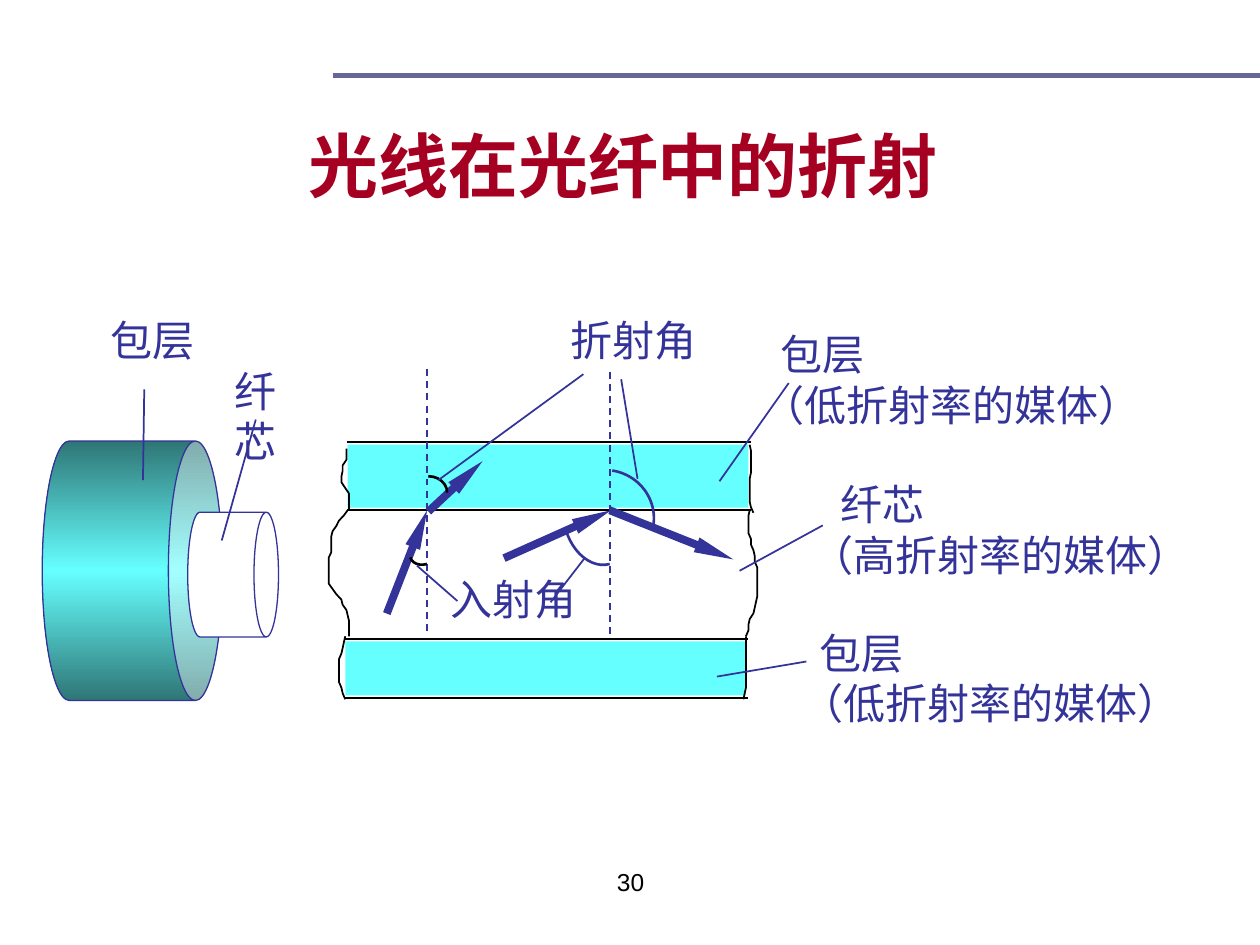
from copy import deepcopy
from pptx import Presentation
from pptx import util as u
from pptx.dml.color import RGBColor
from pptx.enum import dml, shapes, text
from pptx.oxml.ns import qn
from pptx.oxml.xmlchemy import OxmlElement

COLS, ROWS = 100, 75
HUES = {"ink": "333399", "title": "A50021", "rule": "666699",
        "clad": "66FFFF", "shade": "2F7676", "core": "FFFFFF", "edge": "000000"}

deck = Presentation()
deck.slide_width, deck.slide_height = u.Inches(10), u.Inches(7.5)
slide = deck.slides.add_slide(deck.slide_layouts[5])
cell = deck.slide_width / COLS


def hue(name):
    return RGBColor.from_string(HUES[name])


def emu(*cells):
    return [round(n * cell) for n in cells]


def within(box, x, y):
    return box[0] + x, box[1] + y


def style(run, size, color, bold=False):
    font = run.font
    font.name, font.size, font.bold = "Arial", u.Pt(size), bold
    font.color.rgb = hue(color)


def line(box, start, end, color="ink", width=1, dash=False, arrow=False):
    link = slide.shapes.add_connector(
        shapes.MSO_CONNECTOR.STRAIGHT,
        *emu(*within(box, *start), *within(box, *end)))
    link.line.color.rgb, link.line.width = hue(color), u.Pt(width)
    if dash:
        link.line.dash_style = dml.MSO_LINE.DASH
    if arrow:
        tip = OxmlElement("a:tailEnd")
        for key, value in (("type", "triangle"), ("w", "sm"), ("len", "lg")):
            tip.set(key, value)
        link.element.spPr.find(qn("a:ln")).append(tip)
    link.element.spPr.append(OxmlElement("a:effectLst"))


def shape(kind, box, mid, size, fill=None, stroke=None, width=0.75, turn=0):
    """Place a preset shape by its middle, before it is turned."""
    (x, y), (w, h) = within(box, *mid), size
    item = slide.shapes.add_shape(kind, *emu(x - w / 2, y - h / 2, w, h))
    item.rotation, item.shadow.inherit = turn, False
    if fill:
        item.fill.solid()
        item.fill.fore_color.rgb = hue(fill)
    else:
        item.fill.background()
    if stroke:
        item.line.color.rgb, item.line.width = hue(stroke), u.Pt(width)
    else:
        item.line.fill.background()
    return item


def arc(box, mid, radii, turn, color):
    shape(shapes.MSO_SHAPE.ARC, box, mid, [2 * r for r in radii],
          stroke=color, width=1.5, turn=turn)


def edge(box, top, bottom, offsets):
    """Draw a broken edge; offsets are tenths of a cell at equal steps down."""
    step = (bottom - top) / (len(offsets) - 1)
    dots = [emu(*within(box, off / 10, top + i * step))
            for i, off in enumerate(offsets)]
    pen = slide.shapes.build_freeform(*dots[0])
    pen.add_line_segments(dots[1:], close=False)
    crack = pen.convert_to_shape()
    crack.fill.background()
    crack.line.color.rgb, crack.line.width = hue("edge"), u.Pt(1)
    crack.shadow.inherit = False


def label(box, at, size, lines, indent=0, wrap=False, tone="ink", points=24,
          align=text.PP_ALIGN.LEFT):
    note = slide.shapes.add_textbox(*emu(*within(box, *at), *size))
    frame = note.text_frame
    frame.word_wrap = wrap
    frame.text = "\n".join(lines)
    for para in frame.paragraphs:
        para.alignment = align
        style(para.runs[0], points, tone)
    if indent:
        frame.paragraphs[0]._p.get_or_add_pPr().set("marL", str(emu(indent)[0]))


def header(box):
    line(box, (21.3, 1.6), (94.9, 1.6), "rule", 3)
    title = slide.shapes.title
    title.left, title.top, title.width, title.height = emu(*box)
    frame = title.text_frame
    frame.text = "光线在光纤中的折射"
    frame.auto_size = text.MSO_AUTO_SIZE.NONE
    frame.vertical_anchor = text.MSO_ANCHOR.BOTTOM
    frame.margin_right = u.Inches(0.23)
    frame.paragraphs[0].alignment = text.PP_ALIGN.CENTER
    style(frame.paragraphs[0].runs[0], 40, "title", True)


def tube(box):
    for x, top, height in ((1.5, 6.1, 5.4), (1.3, 21.7, 4.7)):
        for y in (top, top + height):
            line(box, (x, y), (x + 32.1, y), "edge")
        shape(shapes.MSO_SHAPE.RECTANGLE, box, (x + 16, top + height / 2),
              (31.8, height - 0.4), "clad")
    left, right = box, (box[0] + 33, box[1])
    edge(left, 6.6, 11.5, [15, 15, 15, 12, 12, 11, 11, 14, 17, 17, 17, 17])
    edge(left, 11.5, 21.5, [16, 13, 9, 7, 4, 3, 3, 3, 3, 1, 1, 1, 1, 1, 1,
                            4, 7, 11, 12, 15, 16, 17, 17, 17, 17])
    edge(left, 21.5, 26.5, [14, 13, 12, 11, 9, 9, 9, 9, 9, 11, 12, 14])
    edge(right, 6.3, 11.7, [5, 6, 6, 6, 6, 6, 5, 5, 5, 5, 5, 6, 8])
    edge(right, 11.5, 21.5, [5, 4, 4, 4, 4, 6, 6, 8, 9, 9, 11, 11, 11, 11,
                             11, 11, 10, 9, 8, 5, 4, 4, 2])
    edge(right, 21.5, 26.5, [2] * 10 + [1, 0])


def rays(box):
    for x, y in ((7.9, 0.3), (22.4, 0.5)):
        line(box, (x, y), (x, y + 21.2), dash=True)
    for start, end in (((8, 11.6), (12.3, 7.6)), ((4.7, 19.7), (7.9, 11.5)),
                       ((14, 15.3), (22.5, 11.5)), ((22.4, 11.5), (32.2, 15.4))):
        line(box, start, end, width=4.5, arrow=True)
    arc(box, (7.6, 14.9), (1.1, 0.9), 162, "edge")
    arc(box, (8, 10.1), (1.5, 1.3), 0, "edge")
    arc(box, (21.4, 12.3), (2.6, 3.6), 164, "ink")
    arc(box, (22, 12.1), (3.9, 3.8), 9, "ink")


def names(box):
    label(box, (18.3, -4.5), (12, 5), ["折射角"])
    label(box, (8.8, 16), (12, 5), ["入射角"])
    for at, indent, part, index in (((33.5, -3.4), 1.5, "包层", "低"),
                                    ((37.4, 8.5), 2.3, "纤芯", "高"),
                                    ((36.6, 20.3), 1.5, "包层", "低")):
        label(box, at, (32, 9), [part, f"（{index}折射率的媒体）"], indent)
    for start, end in (((23.3, 1.1), (24.6, 9)), ((8.8, 9.1), (20.3, 0.7)),
                       ((7.1, 15.9), (10.3, 18.7)), ((17.7, 18.8), (20.4, 15.3)),
                       ((32.7, 16.3), (39.3, 12.7)), ((36.6, 1.4), (31.1, 9.2)),
                       ((38, 23.5), (30.9, 24.7))):
        line(box, start, end)


def cable(box):
    can = shapes.MSO_SHAPE.CAN
    coat = shape(can, box, (7.2, 20.8), (20.6, 14.3), "clad", "ink", turn=90)
    coat.adjustments[0] = 0.3
    coat.fill.gradient()
    coat.fill.gradient_angle = 0
    stops = coat.element.spPr.find(qn("a:gradFill")).find(qn("a:gsLst"))
    stops.insert(1, deepcopy(stops[0]))
    for stop, place, tone in zip(coat.fill.gradient_stops, (0, 0.5, 1),
                                 ("shade", "clad", "shade")):
        stop.position, stop.color.rgb = place, hue(tone)
    core = shape(can, box, (15.2, 21.1), (9.9, 7.2), "core", "ink", turn=90)
    core.adjustments[0] = 0.27
    label(box, (4.5, 0), (10, 5), ["包层"], wrap=True)
    line(box, (8.15, 6.4), (8.05, 13.6))
    label(box, (14.3, 4), (7.6, 9), ["纤芯"], wrap=True)
    line(box, (17, 8.8), (14.3, 18.4))


def footer(box):
    label(box, (0, 0), box[2:], ["30"], wrap=True, tone="edge", points=14,
          align=text.PP_ALIGN.CENTER)


fiber = (26, 29, 72, 27)
header((5.1, 4.4, 90, 12.5))
for draw in (tube, rays, names):
    draw(fiber)
cable((3.3, 24.5, 19, 31))
footer((34.2, ROWS - 6.7, 31.7, 5.2))
deck.save("out.pptx")
